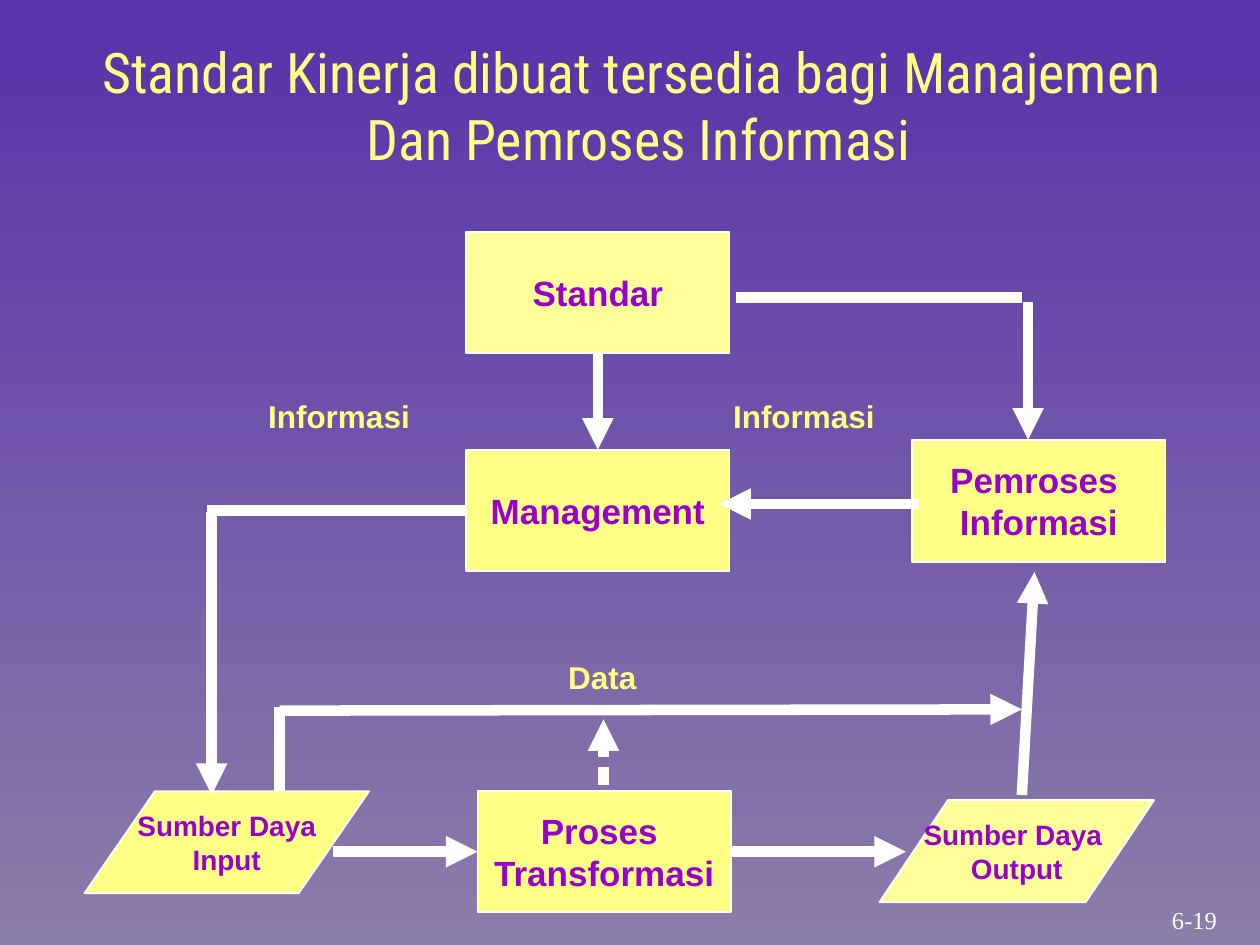
import pptx
import pptx.util
import pptx.dml.color
import pptx.enum.shapes
import pptx.enum.text
import pptx.oxml.ns
import lxml.etree

COLORS = {"top": "5732AA", "bottom": "8B7DA9", "white": "FFFFFF",
          "yellow": "FFFF85", "pale": "FFFF99", "purple": "9900CC"}
ALIGN = pptx.enum.text.PP_ALIGN
ANCHOR = pptx.enum.text.MSO_ANCHOR
SHAPE = pptx.enum.shapes.MSO_SHAPE

deck = pptx.Presentation()
deck.slide_width = pptx.util.Inches(10)
deck.slide_height = pptx.util.Inches(7.5)
page = deck.slides.add_slide(deck.slide_layouts[6])


def grid(*cells):
    """Turn cells of a 100 by 75 grid into slide lengths."""
    unit = deck.slide_width / 100
    return [round(cell * unit) for cell in cells]


def write(holder, text, size=18, color="yellow", font="Arial", bold=True,
          align=ALIGN.CENTER, anchor=ANCHOR.MIDDLE, wrap=False):
    frame = holder.text_frame
    frame.word_wrap = wrap
    frame.vertical_anchor = anchor
    for index, line in enumerate(text.split("\n")):
        para = frame.paragraphs[0] if index == 0 else frame.add_paragraph()
        para.alignment = align
        span = para.add_run()
        span.text = line
        span.font.size = pptx.util.Pt(size)
        span.font.name = font
        span.font.bold = bold
        span.font.color.rgb = pptx.dml.color.RGBColor.from_string(COLORS[color])


# Background: vertical gradient
backdrop = page.background.fill
backdrop.gradient()
backdrop.gradient_angle = 270
for stop, place, name in zip(backdrop.gradient_stops, (0, 1), ("top", "bottom")):
    stop.position = place
    stop.color.rgb = pptx.dml.color.RGBColor.from_string(COLORS[name])

# Boxes: text, outline, left, top, width, height, fill, text size, slant
boxes = {}
for key, text, outline, cells, fill, size, slant in [
    ("output", "Sumber Daya \nOutput", SHAPE.PARALLELOGRAM,
     (69.8, 63.5, 21.8, 8.1), "pale", 16, 0.67),
    ("input", "Sumber Daya\nInput", SHAPE.PARALLELOGRAM,
     (6.7, 62.8, 22.6, 8.1), "yellow", 16, 0.69),
    ("management", "Management", SHAPE.RECTANGLE,
     (37, 35.7, 20.9, 9.6), "yellow", 20, None),
    ("processor", "Pemroses \nInformasi", SHAPE.RECTANGLE,
     (72.4, 34.9, 20.1, 9.7), "yellow", 20, None),
    ("process", "Proses \nTransformasi", SHAPE.RECTANGLE,
     (37.9, 62.8, 20.1, 9.6), "yellow", 20, None),
    ("standard", "Standar", SHAPE.RECTANGLE,
     (37, 18.4, 20.9, 9.6), "pale", 20, None),
]:
    box = page.shapes.add_shape(outline, *grid(*cells))
    box.shadow.inherit = False
    box.fill.solid()
    box.fill.fore_color.rgb = pptx.dml.color.RGBColor.from_string(COLORS[fill])
    box.line.color.rgb = pptx.dml.color.RGBColor.from_string(COLORS["white"])
    box.line.width = pptx.util.Pt(1)
    if slant:
        box.adjustments[0] = slant
    write(box, text, size=size, color="purple")
    boxes[key] = box

# Flow lines: start and end cells, arrowhead at the end, joined box sides
for cells, arrow, start, end in [
    ((47.4, 28, 47.4, 35.7), True, ("standard", 2), ("management", 0)),
    ((58.4, 23.6, 81.1, 23.6), False, None, None),
    ((81.6, 24, 81.6, 34.9), True, None, None),
    ((72.9, 40, 57.1, 40), True, None, None),
    ((37, 40.5, 16.4, 40.5), False, ("management", 1), None),
    ((16.8, 40.6, 16.8, 63.1), True, None, None),
    ((22.2, 62.8, 22.2, 56.1), False, None, None),
    ((22.2, 56.4, 81.1, 56.3), True, None, None),
    ((81.1, 63.1, 82.1, 45.4), True, None, None),
    ((47.9, 62.3, 47.9, 60.9), False, None, None),
    ((47.9, 60.1, 47.9, 57.1), True, None, None),
    ((26.4, 67.6, 37.9, 67.6), True, None, ("process", 1)),
    ((58, 67.6, 71.9, 67.6), True, ("process", 3), None),
]:
    flow = page.shapes.add_connector(
        pptx.enum.shapes.MSO_CONNECTOR.STRAIGHT, *grid(*cells))
    if start:
        flow.begin_connect(boxes[start[0]], start[1])
    if end:
        flow.end_connect(boxes[end[0]], end[1])
    flow.line.color.rgb = pptx.dml.color.RGBColor.from_string(COLORS["white"])
    flow.line.width = pptx.util.Pt(6)
    if arrow:
        lxml.etree.SubElement(flow.line._get_or_add_ln(),
                              pptx.oxml.ns.qn("a:tailEnd"), type="triangle")
    lxml.etree.SubElement(flow._element.spPr, pptx.oxml.ns.qn("a:effectLst"))

# Title, flow labels and page number
label = {"align": ALIGN.LEFT, "anchor": ANCHOR.TOP, "wrap": True}
for text, cells, style in [
    ("Standar Kinerja dibuat tersedia bagi Manajemen \nDan Pemroses Informasi",
     (1, 2.5, 99.4, 17), {"size": 32, "font": "Roboto Condensed", "bold": False,
                          "anchor": ANCHOR.TOP, "wrap": True}),
    ("Informasi", (20.3, 31, 14.6, 4), label),
    ("Informasi", (57.2, 31, 14.6, 4), label),
    ("Data", (44.1, 51.7, 8.8, 4), label),
    ("6-19", (88.9, 71.3, 11.8, 3.4),
     {"size": 14, "font": "Times New Roman", "bold": False, "color": "white"}),
]:
    write(page.shapes.add_textbox(*grid(*cells)), text, **style)

deck.save("out.pptx")
